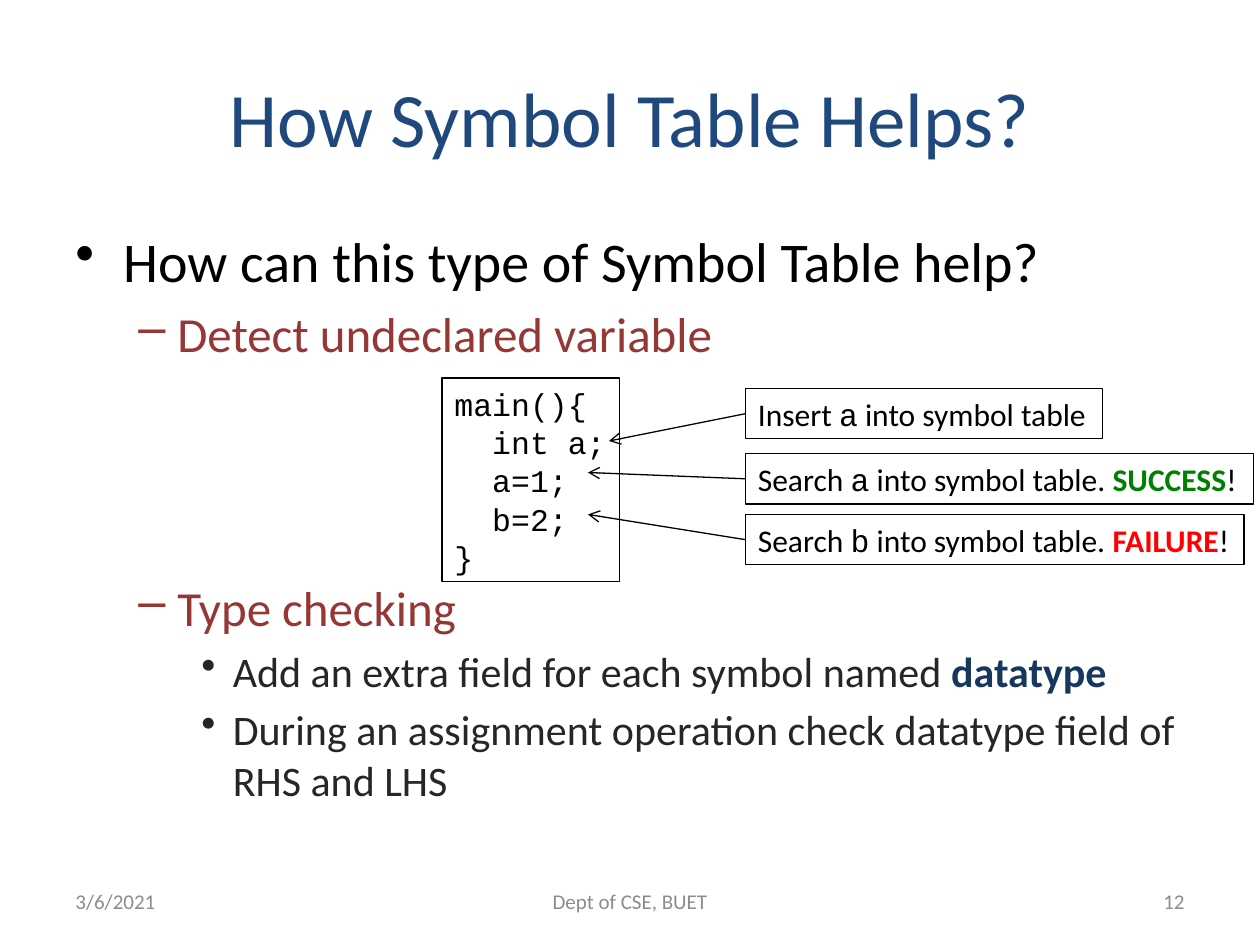
from dataclasses import dataclass

import pptx
import pptx.dml.color
import pptx.enum.shapes
import pptx.enum.text
import pptx.oxml.ns
import pptx.util
from lxml import etree

ALIGN = pptx.enum.text.PP_ALIGN
ANCHOR = pptx.enum.text.MSO_ANCHOR


@dataclass(frozen=True)
class Theme:
    sans: str = "Calibri"
    mono: str = "Courier New"
    ink: str = "000000"
    title: str = "1F497D"
    topic: str = "953735"
    detail: str = "262626"
    keyword: str = "17375E"
    success: str = "008000"
    failure: str = "FF0000"
    footer: str = "8C8C8C"
    title_size: int = 44
    level_sizes: tuple = (32, 28, 24)
    code_size: int = 18
    footer_size: int = 12
    code_leading: float = 21.9
    code_indent: float = 0.3
    line_width: float = 0.75


class Deck:
    COLUMNS, ROWS = 120, 90
    BULLETS = (("•", 0.38, 0.38), ("–", 0.81, 0.31), ("•", 1.25, 0.25))

    def __init__(self, theme):
        self.theme = theme
        self.presentation = pptx.Presentation()
        self.presentation.slide_width = pptx.util.Inches(10)
        self.presentation.slide_height = pptx.util.Inches(7.5)
        self.slide = self.presentation.slides.add_slide(self.presentation.slide_layouts[6])

    def x(self, columns):
        return round(self.presentation.slide_width * columns / self.COLUMNS)

    def y(self, rows):
        return round(self.presentation.slide_height * rows / self.ROWS)

    def area(self, left, top, width, height):
        return self.x(left), self.y(top), self.x(width), self.y(height)

    def fill_paragraph(self, paragraph, pieces, size, color, font=None):
        paragraph.font.size = pptx.util.Pt(size)
        paragraph.font.color.rgb = pptx.dml.color.RGBColor.from_string(color)
        fonts = {style.get("font", font or self.theme.sans) for _, style in pieces}
        if len(fonts) == 1:
            paragraph.font.name = fonts.pop()
        for words, style in pieces:
            run = paragraph.add_run()
            run.text = words
            if not paragraph.font.name:
                run.font.name = style.get("font", self.theme.sans)
            if "color" in style:
                run.font.bold = True
                run.font.color.rgb = pptx.dml.color.RGBColor.from_string(style["color"])

    def indent(self, paragraph, margin, hanging=0):
        properties = paragraph._p.get_or_add_pPr()
        properties.set("marL", str(pptx.util.Inches(margin)))
        properties.set("indent", str(-pptx.util.Inches(hanging)))
        return properties

    def label(self, area, words, size, color, align):
        frame = self.slide.shapes.add_textbox(*self.area(*area)).text_frame
        frame.word_wrap = True
        frame.vertical_anchor = ANCHOR.MIDDLE
        frame.paragraphs[0].alignment = align
        self.fill_paragraph(frame.paragraphs[0], [(words, {})], size, color)

    def outline(self, area, items):
        frame = self.slide.shapes.add_textbox(*self.area(*area)).text_frame
        frame.word_wrap = True
        for index, (level, gap, color, pieces) in enumerate(items):
            paragraph = frame.add_paragraph() if index else frame.paragraphs[0]
            paragraph.level = level
            paragraph.space_before = pptx.util.Pt(gap)
            mark, margin, hanging = self.BULLETS[level]
            properties = self.indent(paragraph, margin, hanging)
            self.fill_paragraph(paragraph, pieces, self.theme.level_sizes[level], color)
            bullet = etree.Element(pptx.oxml.ns.qn("a:buChar"), char=mark)
            properties.insert_element_before(bullet, "a:tabLst", "a:defRPr", "a:extLst")

    def box(self, area):
        box = self.slide.shapes.add_shape(
            pptx.enum.shapes.MSO_SHAPE.RECTANGLE, *self.area(*area))
        box.shadow.inherit = False
        box.fill.background()
        box.line.color.rgb = pptx.dml.color.RGBColor.from_string(self.theme.ink)
        box.line.width = pptx.util.Pt(self.theme.line_width)
        box.text_frame.word_wrap = False
        box.text_frame.auto_size = pptx.enum.text.MSO_AUTO_SIZE.SHAPE_TO_FIT_TEXT
        box.text_frame.vertical_anchor = ANCHOR.TOP
        box.text_frame.paragraphs[0].alignment = ALIGN.LEFT
        return box

    def code(self, area, lines):
        frame = self.box(area).text_frame
        for index, (depth, words) in enumerate(lines):
            paragraph = frame.add_paragraph() if index else frame.paragraphs[0]
            paragraph.alignment = ALIGN.LEFT
            paragraph.line_spacing = pptx.util.Pt(self.theme.code_leading)
            self.indent(paragraph, depth * self.theme.code_indent)
            self.fill_paragraph(paragraph, [(words, {})], self.theme.code_size,
                                self.theme.ink, self.theme.mono)

    def callout(self, area, pieces):
        callout = self.box(area)
        self.fill_paragraph(callout.text_frame.paragraphs[0], pieces,
                            self.theme.code_size, self.theme.ink)
        return callout

    def arrow(self, callout, column, row):
        arrow = self.slide.shapes.add_connector(
            pptx.enum.shapes.MSO_CONNECTOR.STRAIGHT,
            callout.left, callout.top + callout.height // 2, self.x(column), self.y(row))
        arrow.begin_connect(callout, 1)
        arrow.line.color.rgb = pptx.dml.color.RGBColor.from_string(self.theme.ink)
        arrow.line.width = pptx.util.Pt(self.theme.line_width)
        etree.SubElement(arrow.line._get_or_add_ln(), pptx.oxml.ns.qn("a:tailEnd"), type="arrow")
        etree.SubElement(arrow._element.spPr, pptx.oxml.ns.qn("a:effectLst"))


def main():
    theme = Theme()
    deck = Deck(theme)
    deck.label((6, 3.6, 108, 15), "How Symbol Table Helps?",
               theme.title_size, theme.title, ALIGN.CENTER)
    for left, width, words, align in (
        (6, 28, "3/6/2021", ALIGN.LEFT),
        (41, 38, "Dept of CSE, BUET", ALIGN.CENTER),
        (86, 28, "12", ALIGN.RIGHT),
    ):
        deck.label((left, 83.4, width, 4.8), words, theme.footer_size, theme.footer, align)

    deck.outline((6, 21, 108, 59.4), (
        (0, 0, theme.ink, [("How can this type of Symbol Table help?", {})]),
        (1, 5.6, theme.topic, [("Detect undeclared variable", {})]),
        (1, 123, theme.topic, [("Type checking", {})]),
        (2, 4.8, theme.detail, [("Add an extra field for each symbol named ", {}),
                                ("datatype", {"color": theme.keyword})]),
        (2, 4.8, theme.detail, [
            ("During an assignment operation check datatype field of RHS and LHS", {})]),
    ))

    deck.code((42.1, 36, 16.9, 19.4),
              ((0, "main(){"), (1, "int a;"), (1, "a=1;"), (1, "b=2;"), (0, "}")))

    for top, width, action, symbol, ending, verdict, target in (
        (37, 34, "Insert ", "a", " into symbol table", [], (58, 42)),
        (43.2, 48.4, "Search ", "a", " into symbol table. ",
         [("SUCCESS", {"color": theme.success}), ("!", {})], (56, 45)),
        (49, 47.5, "Search ", "b", " into symbol table. ",
         [("FAILURE", {"color": theme.failure}), ("!", {})], (56, 49)),
    ):
        callout = deck.callout((71, top, width, 4.8), [
            (action, {}), (symbol, {"font": theme.mono}), (ending, {}), *verdict])
        deck.arrow(callout, *target)

    deck.presentation.save("out.pptx")


if __name__ == "__main__":
    main()
